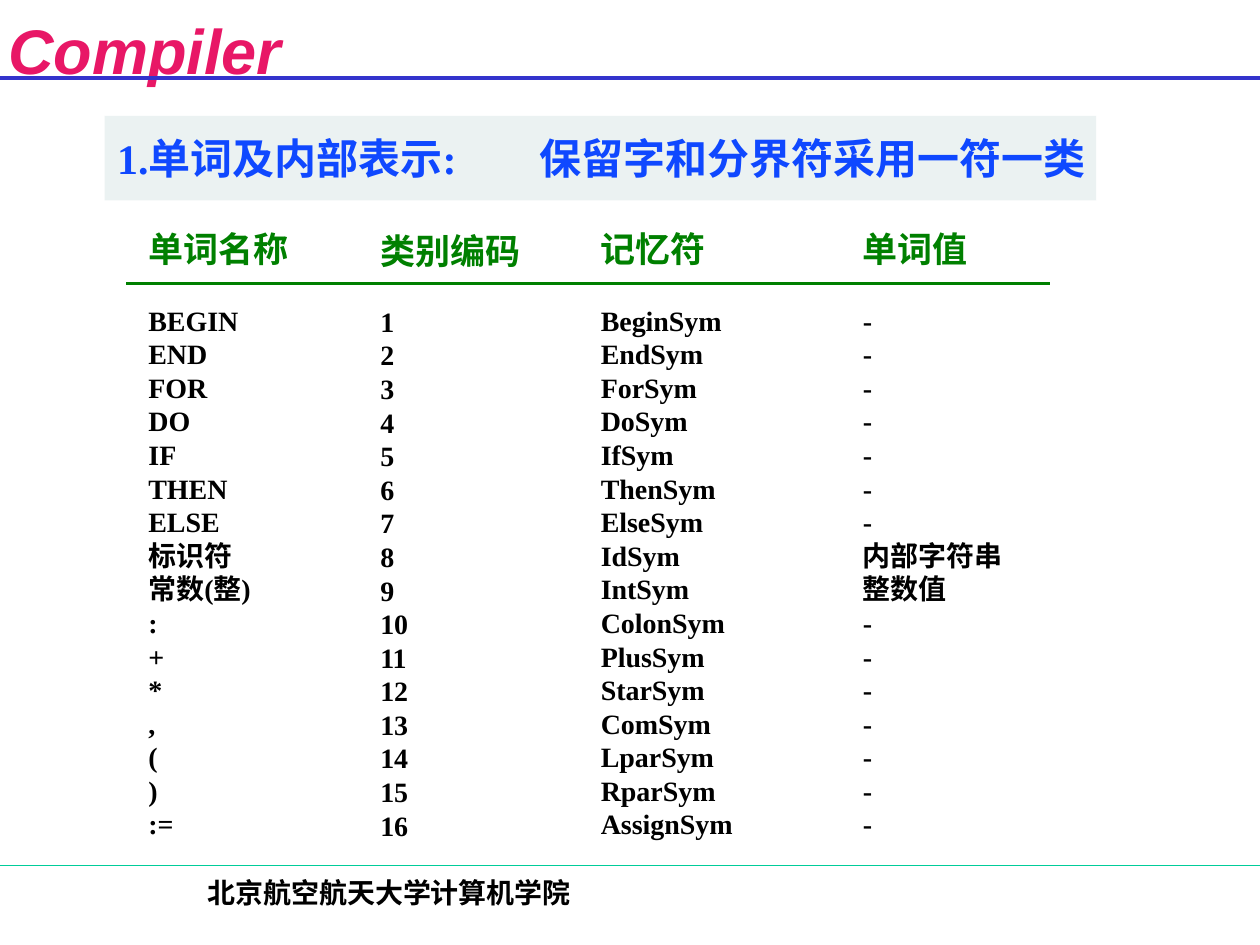
from pptx import Presentation
from pptx.dml.color import RGBColor as Rgb
from pptx.enum.shapes import MSO_CONNECTOR as Conn
from pptx.enum.text import MSO_ANCHOR as Anchor, MSO_AUTO_SIZE as Fit, PP_ALIGN as Align
from pptx.oxml import parse_xml
from pptx.oxml.ns import nsdecls, qn
from pptx.util import Inches, Pt

SERIF = "Times New Roman"
GREEN = "008000"
DASH = "-"
COL_W, COL_H = 1.5, 4.98
# Each column: left, top, heading, entries
COLS = [
    (1.08, 1.75, "单词名称",
     ["BEGIN", "END", "FOR", "DO", "IF", "THEN", "ELSE", "标识符", "常数(整)",
      ":", "+", "*", ",", "(", ")", ":="]),
    (2.92, 1.76, "类别编码", [str(n) for n in range(1, 17)]),
    (4.67, 1.75, "记忆符",
     [name + "Sym" for name in
      ("Begin", "End", "For", "Do", "If", "Then", "Else", "Id", "Int",
       "Colon", "Plus", "Star", "Com", "Lpar", "Rpar", "Assign")]),
    (6.75, 1.75, "单词值", [DASH] * 7 + ["内部字符串", "整数值"] + [DASH] * 7),
]


def tint(color, code):
    color.rgb = Rgb.from_string(code)


def add_run(para, text, size, code, face=SERIF):
    run = para.add_run()
    run.text = text
    font = run.font
    font.name, font.size, font.bold = face, Pt(size), True
    tint(font.color, code)
    return run


def add_box(slide, left, top, width, height):
    box = slide.shapes.add_textbox(*map(Inches, (left, top, width, height)))
    box.text_frame.word_wrap = True
    return box.text_frame


def add_rule(slide, y, left, right, code, weight):
    rule = slide.shapes.add_connector(
        Conn.STRAIGHT, Inches(left), Inches(y), Inches(right), Inches(y))
    tint(rule.line.color, code)
    rule.line.width = Pt(weight)
    rule._element.spPr.append(parse_xml(f"<a:effectLst {nsdecls('a')}/>"))


def add_label(slide, place, text, size, code, face=SERIF):
    frame = add_box(slide, *place)
    frame.margin_left = frame.margin_right = 0
    para = frame.paragraphs[0]
    para.alignment = Align.CENTER
    return add_run(para, text, size, code, face)


def set_title(slide):
    title = slide.shapes.title
    title.left, title.top, title.width, title.height = map(
        Inches, (0.83, 0.92, 7.87, 0.67))
    # Half-transparent band
    title.fill.solid()
    tint(title.fill.fore_color, "D9E6E6")
    shade = title._element.spPr.find(".//" + qn("a:srgbClr"))
    shade.append(parse_xml(f'<a:alpha {nsdecls("a")} val="50000"/>'))
    # Two phrases parted by a tab stop
    frame = title.text_frame
    frame.auto_size, frame.word_wrap = Fit.NONE, True
    frame.vertical_anchor, frame.margin_right = Anchor.MIDDLE, 0
    para = frame.paragraphs[0]
    para.alignment = Align.LEFT
    para._p.get_or_add_pPr().append(parse_xml(
        f'<a:tabLst {nsdecls("a")}><a:tab pos="{Inches(3.35)}" algn="l"/></a:tabLst>'))
    add_run(para, "1.单词及内部表示:\t", 24, "0F48FF")
    add_run(para, "保留字和分界符采用一符一类", 24, "0F48FF")


def add_column(slide, left, top, head, items):
    frame = add_box(slide, left, top, COL_W, COL_H)
    frame.vertical_anchor = Anchor.MIDDLE
    add_run(frame.paragraphs[0], head, 20, GREEN)
    for row, item in enumerate(items):
        para = frame.add_paragraph()
        if row == 0:
            para.space_before = Pt(19)
        add_run(para, item, 16, "000000")


def main():
    deck = Presentation()
    deck.slide_width, deck.slide_height = Inches(10), Inches(7.5)
    slide = deck.slides.add_slide(deck.slide_layouts[5])

    # Page header and footer
    brand = add_label(slide, (0, 0.04, 2.3, 0.62), "Compiler", 36,
                      "E81766", "Arial")
    brand.font.italic = True
    add_rule(slide, 0.62, 0, 10, "3333CC", 2.25)
    add_label(slide, (0.59, 6.9, 5, 0.5), "北京航空航天大学计算机学院", 16, "000000")
    add_rule(slide, 6.87, 0, 10, "00CC99", 0.75)

    # Heading and word list
    set_title(slide)
    for col in COLS:
        add_column(slide, *col)
    add_rule(slide, 2.25, 1, 8.33, GREEN, 1.5)

    deck.save("out.pptx")


if __name__ == "__main__":
    main()
